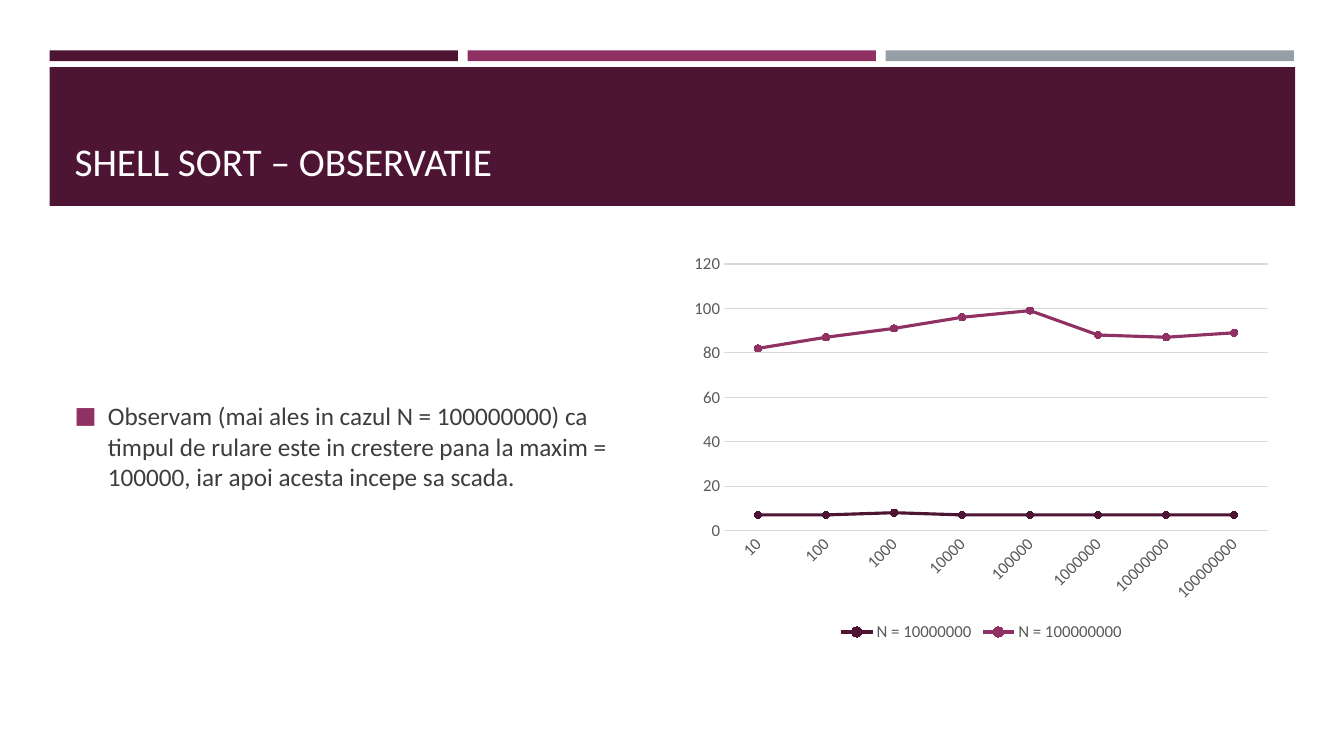
"""Build the Shell Sort observation slide with its run-time chart."""
from lxml import etree
from pptx import Presentation
from pptx.chart.data import CategoryChartData
from pptx.dml.color import RGBColor
from pptx.enum.chart import XL_CHART_TYPE, XL_LEGEND_POSITION, XL_MARKER_STYLE, XL_TICK_MARK
from pptx.enum.shapes import MSO_SHAPE
from pptx.enum.text import MSO_ANCHOR
from pptx.oxml import parse_xml
from pptx.oxml.ns import nsdecls, qn
from pptx.util import Cm, Pt

RECTANGLE = MSO_SHAPE.RECTANGLE
BOTTOM, MIDDLE = MSO_ANCHOR.BOTTOM, MSO_ANCHOR.MIDDLE
STACKED_LINES = XL_CHART_TYPE.LINE_MARKERS_STACKED
LEGEND_BOTTOM = XL_LEGEND_POSITION.BOTTOM
CIRCLE = XL_MARKER_STYLE.CIRCLE
NO_TICK = XL_TICK_MARK.NONE

FONT = "Calibri"
COLORS = {"plum": "4D1434", "magenta": "903163", "gray": "969FA7", "red": "B2324B",
          "white": "FFFFFF", "text": "3D3D3D", "label": "595959", "grid": "D9D9D9"}


def color(name):
    return RGBColor.from_string(COLORS[name])


def style_font(font, size, color_name):
    for attribute, value in {"name": FONT, "size": Pt(size), "bold": False}.items():
        setattr(font, attribute, value)
    font.color.rgb = color(color_name)


deck = Presentation()
deck.slide_width, deck.slide_height = Cm(33.87), Cm(19.05)
page = deck.slides.add_slide(deck.slide_layouts[6])

bars = [(1.25 + 10.64 * 0.99 * index, 1.27, 10.29, 0.27, name)
        for index, name in enumerate(("plum", "magenta", "gray"))]
bars.append((1.25, 1.69, 31.39, 3.5, "plum"))
for left, top, width, height, name in bars:
    bar = page.shapes.add_shape(RECTANGLE, Cm(left), Cm(top), Cm(width), Cm(height))
    bar.shadow.inherit = False
    bar.fill.solid()
    bar.fill.fore_color.rgb = color(name)
    bar.line.fill.background()

texts = [
    ("SHELL SORT – OBSERVATIE", 2.03, 30.63, 2.74, BOTTOM, 28, "white"),
    ("Observam (mai ales in cazul N = 100000000) ca timpul de rulare este in crestere "
     "pana la maxim = 100000, iar apoi acesta incepe sa scada.",
     6.2, 15.06, 10.08, MIDDLE, 18, "text"),
]
for words, top, width, height, anchor, size, name in texts:
    box = page.shapes.add_textbox(Cm(1.63), Cm(top), Cm(width), Cm(height))
    frame = box.text_frame
    frame.word_wrap = True
    frame.vertical_anchor = anchor
    para = frame.paragraphs[0]
    span = para.add_run()
    span.text = words
    style_font(span.font, size, name)

para.space_before, para.space_after = Pt(3.6), Pt(6)
properties = para._p.get_or_add_pPr()
properties.set("marL", str(Cm(0.84)))
properties.set("indent", str(-Cm(0.84)))
for bullet in (f'<a:buClr {nsdecls("a")}><a:srgbClr val="{COLORS["magenta"]}"/></a:buClr>',
               f'<a:buSzPct {nsdecls("a")} val="92000"/>',
               f'<a:buFont {nsdecls("a")} typeface="{FONT}"/>',
               f'<a:buChar {nsdecls("a")} char="■"/>'):
    properties.append(parse_xml(bullet))

data = CategoryChartData()
data.categories = [str(10 ** power) for power in range(1, 9)]
series_rows = [("N = 10000000", [7, 7, 8, 7, 7, 7, 7, 7], "plum"),
               ("N = 100000000", [75, 80, 83, 89, 92, 81, 80, 82], "magenta"),
               ("Series 3", [None] * 8, "red")]
for title, values, name in series_rows:
    data.add_series(title, values)
chart = page.shapes.add_chart(STACKED_LINES, Cm(17.2), Cm(6.2), Cm(15.06), Cm(10.08), data).chart
style_font(chart.font, 12, "label")
chart.has_title = False
chart.plots[0].vary_by_categories = False

for series, (title, values, name) in zip(chart.plots[0].series, series_rows):
    series.smooth = False
    series.format.line.width = Pt(2.25)
    series.format.line.color.rgb = color(name)
    series.marker.style, series.marker.size = CIRCLE, 5
    series.marker.format.fill.solid()
    series.marker.format.fill.fore_color.rgb = color(name)
    series.marker.format.line.color.rgb = color(name)

category_axis, value_axis = chart.category_axis, chart.value_axis
for axis in (category_axis, value_axis):
    axis.major_tick_mark = axis.minor_tick_mark = NO_TICK
    style_font(axis.tick_labels.font, 12, "label")
category_axis._element.find(qn("c:txPr")).find(qn("a:bodyPr")).set("rot", "-2700000")
value_axis.minimum_scale, value_axis.maximum_scale, value_axis.major_unit = 0, 120, 20
value_axis.has_major_gridlines = True
value_axis.format.line.fill.background()
for line in (category_axis.format.line, value_axis.major_gridlines.format.line):
    line.width = Pt(0.75)
    line.color.rgb = color("grid")

chart.has_legend = True
legend = chart.legend
legend.position = LEGEND_BOTTOM
legend.include_in_layout = False
style_font(legend.font, 12, "label")
hidden_entry = etree.Element(qn("c:legendEntry"))
etree.SubElement(hidden_entry, qn("c:idx")).set("val", "2")
etree.SubElement(hidden_entry, qn("c:delete")).set("val", "1")
legend._element.find(qn("c:legendPos")).addnext(hidden_entry)

deck.save("out.pptx")
